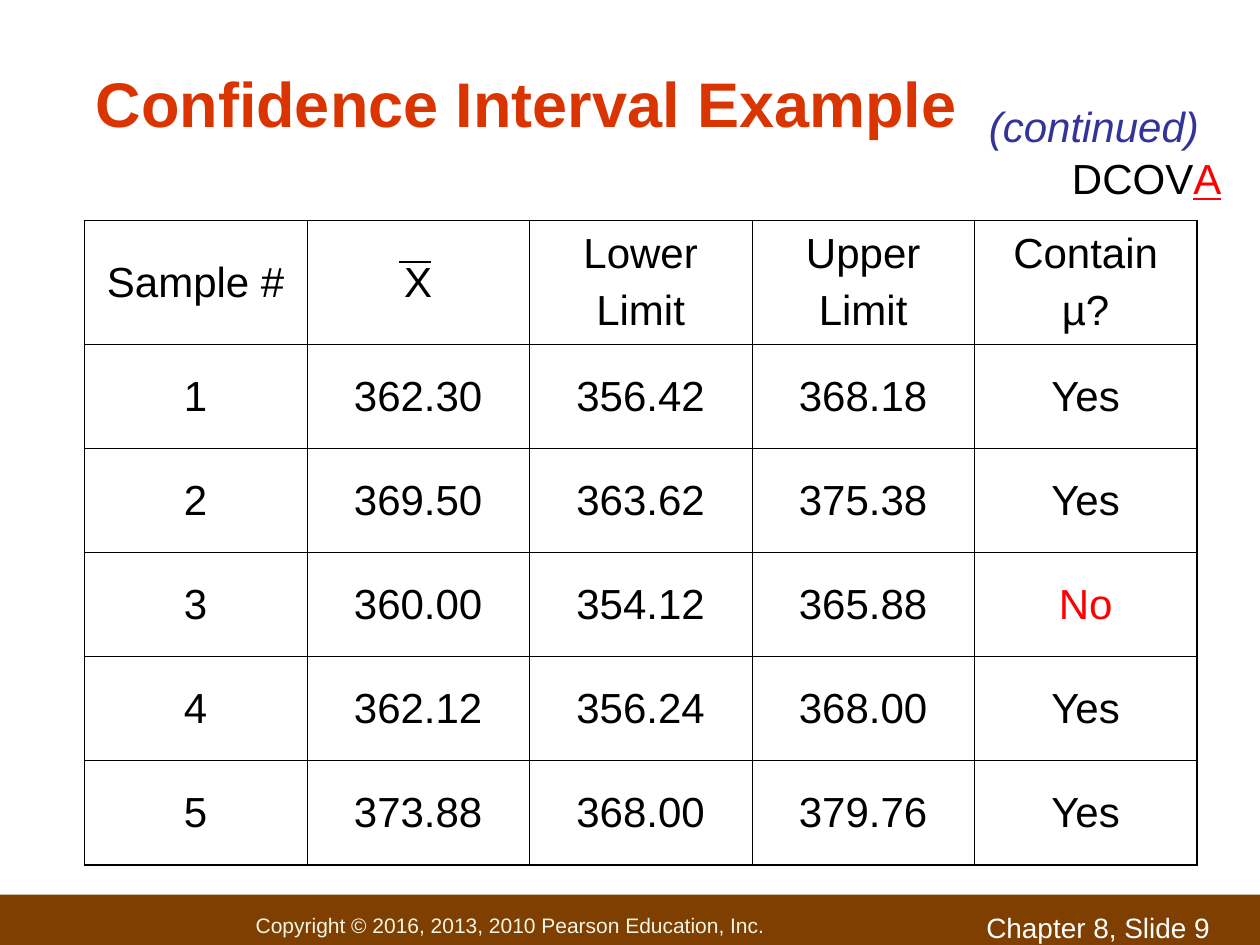
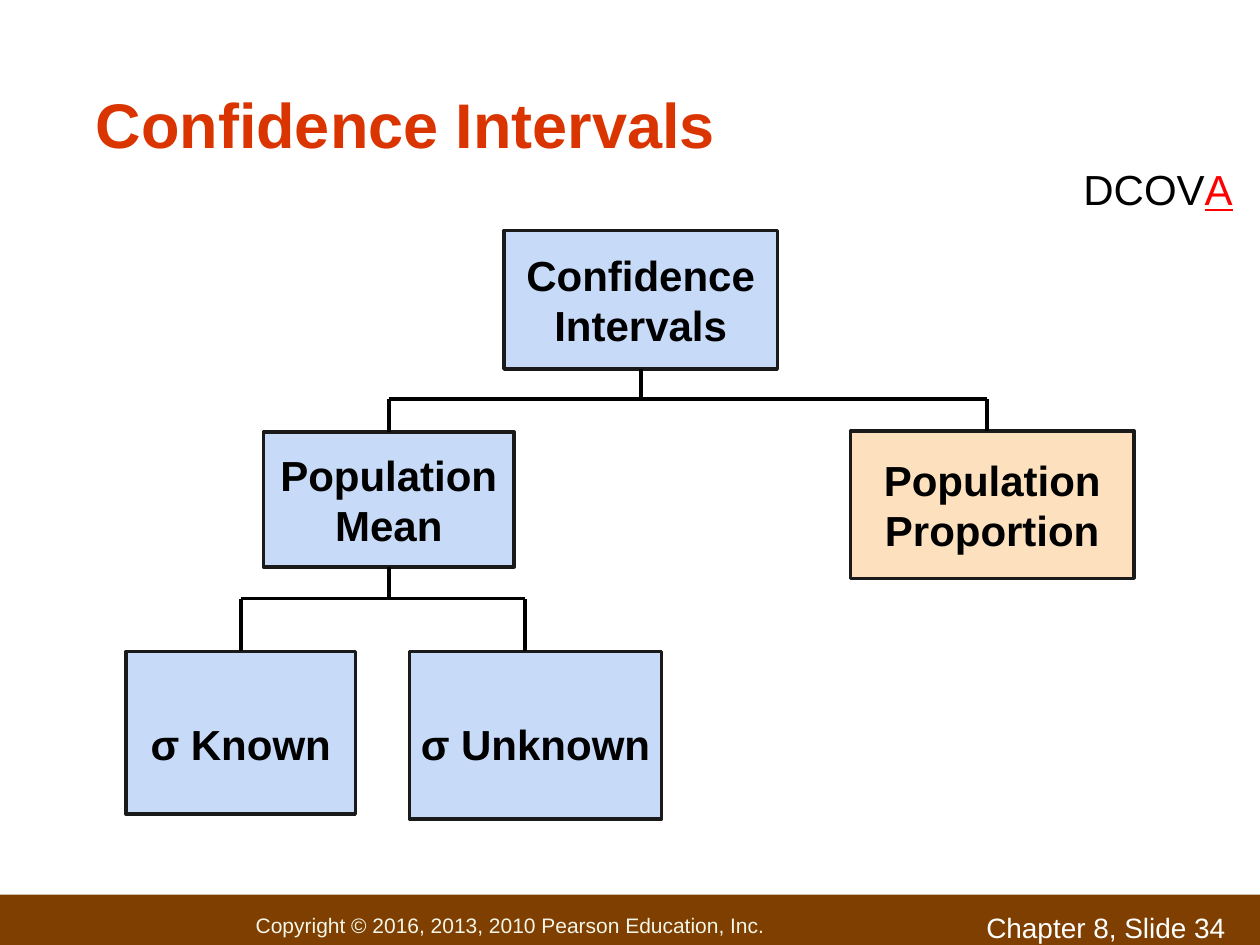
import dataclasses

import lxml.etree
import pptx
import pptx.dml.color
import pptx.enum.shapes
import pptx.enum.text
import pptx.oxml.ns
import pptx.util

Inches = pptx.util.Inches
Pt = pptx.util.Pt
qn = pptx.oxml.ns.qn
Align = pptx.enum.text.PP_ALIGN
Anchor = pptx.enum.text.MSO_ANCHOR
RECTANGLE = pptx.enum.shapes.MSO_SHAPE.RECTANGLE
STRAIGHT = pptx.enum.shapes.MSO_CONNECTOR.STRAIGHT
TOP, BOTTOM = 0, 2


@dataclasses.dataclass(frozen=True)
class Theme:
    font: str = "Arial"
    title: str = "DA3400"
    ink: str = "000000"
    accent: str = "FF0000"
    continued: str = "333399"
    band: str = "7E3F00"
    copyright: str = "F3F5E7"
    chapter: str = "FFFFFF"
    box_line: str = "1A1A1A"
    blue_box: str = "C7DAF7"
    orange_box: str = "FDE0BD"
    title_size: int = 36
    text_size: int = 24
    chapter_size: int = 16
    copyright_size: int = 12
    grid_width: float = 0.45
    frame_width: float = 1.08


def rgb(color):
    return pptx.dml.color.RGBColor.from_string(color)


def place(*lengths):
    return [Inches(length) for length in lengths]


class Deck:
    def __init__(self, theme):
        self.theme = theme
        self.prs = pptx.Presentation()
        self.prs.slide_width, self.prs.slide_height = place(10, 7.5)
        self.slide = None

    def format(self, p, size=None, color=None, bold=False, italic=False, align=Align.LEFT):
        p.alignment = align
        p.font.name = self.theme.font
        p.font.size = Pt(size or self.theme.text_size)
        p.font.color.rgb = rgb(color or self.theme.ink)
        p.font.bold = bold
        p.font.italic = italic

    def new_slide(self, title, number, title_at):
        """Start a slide with its title and footer band."""
        t = self.theme
        self.slide = self.prs.slides.add_slide(self.prs.slide_layouts[5])
        sp = self.slide.shapes.title
        sp.left, sp.top, sp.width, sp.height = place(*title_at)
        tf = sp.text_frame
        tf.text = title
        tf.auto_size = pptx.enum.text.MSO_AUTO_SIZE.NONE
        tf.vertical_anchor = Anchor.BOTTOM
        tf.margin_left = tf.margin_right = Inches(0.09)
        self.format(tf.paragraphs[0], t.title_size, t.title, bold=True)

        band = self.rectangle((0, 7.1, 10, 0.49), t.band)
        band.line.fill.background()
        tf = band.text_frame
        tf.text = "Copyright © 2016, 2013, 2010 Pearson Education, Inc."
        tf.margin_left = Inches(2.03)
        self.format(tf.paragraphs[0], t.copyright_size, t.copyright)
        self.text(f"Chapter 8, Slide {number}", (7.73, 7.18, 2.27, 0.26),
                  size=t.chapter_size, color=t.chapter)

    def text(self, text, at, **style):
        tf = self.slide.shapes.add_textbox(*place(*at)).text_frame
        tf.word_wrap = True
        tf.text = text
        for p in tf.paragraphs:
            self.format(p, **style)
        return tf

    def dcova(self, left, top):
        """Write the DCOVA step marker with its last letter highlighted."""
        p = self.text("DCOV", (left, top, 1.5, 0.5)).paragraphs[0]
        r = p.add_run()
        r.text = "A"
        r.font.underline = True
        r.font.color.rgb = rgb(self.theme.accent)

    def rectangle(self, at, fill):
        sp = self.slide.shapes.add_shape(RECTANGLE, *place(*at))
        sp.shadow.inherit = False
        sp.fill.solid()
        sp.fill.fore_color.rgb = rgb(fill)
        tf = sp.text_frame
        tf.word_wrap = True
        tf.vertical_anchor = Anchor.MIDDLE
        tf.margin_left = tf.margin_right = tf.margin_top = tf.margin_bottom = 0
        return sp

    def box(self, label, at, fill, drop=0):
        """Draw a labelled node; drop lowers the label below the middle."""
        sp = self.rectangle(at, fill)
        sp.line.color.rgb = rgb(self.theme.box_line)
        sp.line.width = Pt(2)
        tf = sp.text_frame
        tf.text = label
        tf.margin_top = Inches(2 * drop)
        for p in tf.paragraphs:
            self.format(p, bold=True, align=Align.CENTER)
        return sp

    def line(self, x1, y1, x2, y2, width=2.25):
        cx = self.slide.shapes.add_connector(STRAIGHT, x1, y1, x2, y2)
        cx.line.color.rgb = rgb(self.theme.ink)
        cx.line.width = Pt(width)
        lxml.etree.SubElement(cx._element.spPr, qn("a:effectLst"))
        return cx

    def branch(self, parent, bus_y, children):
        """Join parent to (child, x) pairs; x None means the child's middle."""
        def middle(sp):
            return sp.left + sp.width // 2

        stem = middle(parent)
        self.line(stem, parent.top + parent.height, stem, bus_y).begin_connect(parent, BOTTOM)
        xs = [middle(child) if x is None else x for child, x in children]
        self.line(min(xs), bus_y, max(xs), bus_y)
        for (child, x), drop_x in zip(children, xs):
            drop = self.line(drop_x, bus_y, drop_x, child.top)
            if x is None:
                drop.end_connect(child, TOP)

    def border(self, cell, side, width):
        ln = lxml.etree.SubElement(cell._tc.get_or_add_tcPr(), qn(f"a:ln{side}"),
                                   w=str(Pt(width)))
        fill = lxml.etree.SubElement(ln, qn("a:solidFill"))
        lxml.etree.SubElement(fill, qn("a:srgbClr"), val=self.theme.ink)

    def table(self, rows, at, header_height, highlight):
        """Draw a framed grid; cells equal to highlight take the accent colour."""
        t = self.theme
        n_rows, n_cols = len(rows), len(rows[0])
        table = self.slide.shapes.add_table(n_rows, n_cols, *place(*at)).table
        table.first_row = table.horz_banding = False
        for col in table.columns:
            col.width = Inches(at[2] / n_cols)
        body_height = (at[3] - header_height) / (n_rows - 1)
        for i, row in enumerate(table.rows):
            row.height = Inches(body_height if i else header_height)
        for i, values in enumerate(rows):
            for j, value in enumerate(values):
                cell = table.cell(i, j)
                cell.text = value
                cell.vertical_anchor = Anchor.MIDDLE
                outer = {"L": j == 0, "R": j == n_cols - 1,
                         "T": i == 0, "B": i == n_rows - 1}
                for side, is_outer in outer.items():
                    self.border(cell, side, t.frame_width if is_outer else t.grid_width)
                cell.fill.background()
                for k, p in enumerate(cell.text_frame.paragraphs):
                    self.format(p, color=t.accent if value == highlight else t.ink,
                                align=Align.CENTER)
                    if k:
                        p.space_before = Pt(6)


def sample_intervals(deck):
    deck.new_slide("Confidence Interval Example", 9, (0.67, 0.08, 8.07, 1.08))
    deck.text("(continued)", (7.75, 0.75, 2, 0.5),
              color=deck.theme.continued, italic=True)
    rows = [
        ("Sample #", "X", "Lower\nLimit", "Upper\nLimit", "Contain\nµ?"),
        ("1", "362.30", "356.42", "368.18", "Yes"),
        ("2", "369.50", "363.62", "375.38", "Yes"),
        ("3", "360.00", "354.12", "365.88", "No"),
        ("4", "362.12", "356.24", "368.00", "Yes"),
        ("5", "373.88", "368.00", "379.76", "Yes"),
    ]
    deck.table(rows, (0.67, 1.75, 8.83, 5.11), header_height=0.98, highlight="No")
    deck.line(*place(3.17, 2.08, 3.42, 2.08), width=0.75)
    deck.dcova(8.41, 1.16)


def interval_tree(deck):
    t = deck.theme
    deck.new_slide("Confidence Intervals", 34, (0.67, 0.25, 8.67, 1.08))
    root = deck.box("Confidence\nIntervals", (4, 1.83, 2.17, 1.1), t.blue_box)
    mean = deck.box("Population\nMean", (2.09, 3.43, 1.99, 1.07), t.blue_box)
    proportion = deck.box("Population\nProportion", (6.75, 3.42, 2.25, 1.17), t.orange_box)
    known = deck.box("σ Known", (1, 5.17, 1.82, 1.29), t.blue_box, drop=0.09)
    unknown = deck.box("σ Unknown", (3.25, 5.17, 2, 1.33), t.blue_box, drop=0.07)
    deck.branch(root, Inches(3.17), [(mean, None), (proportion, Inches(7.83))])
    deck.branch(mean, Inches(4.75), [(known, None), (unknown, Inches(4.17))])
    deck.dcova(8.5, 1.25)


def main():
    deck = Deck(Theme())
    sample_intervals(deck)
    interval_tree(deck)
    deck.prs.save("out.pptx")


if __name__ == "__main__":
    main()
